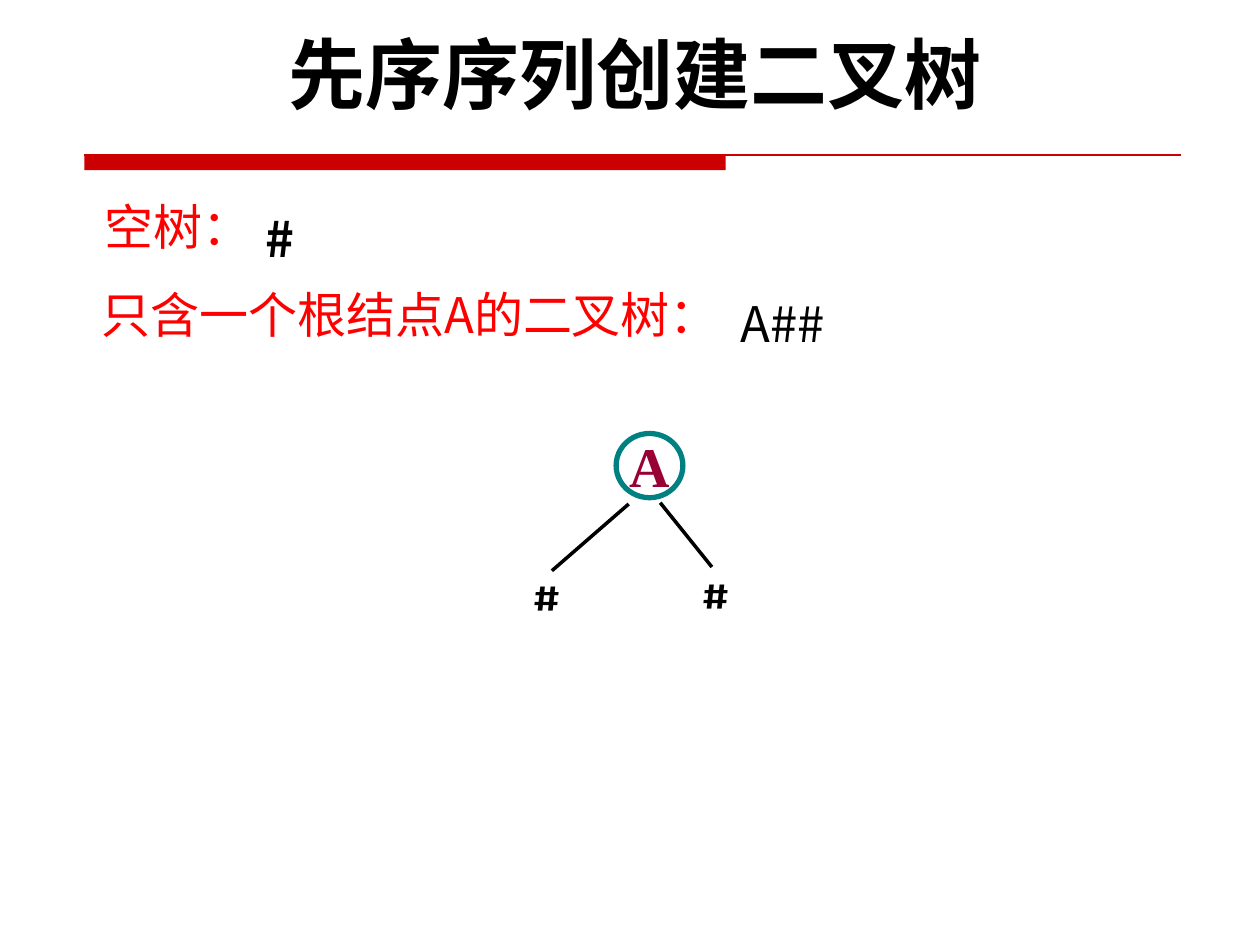
from lxml import etree
from pptx import Presentation
from pptx.dml.color import RGBColor
from pptx.enum import shapes, text
from pptx.oxml.ns import qn
from pptx.util import Inches, Pt

SANS = "Noto Sans CJK SC"
TITLE_FONT = "Karla"
SERIF = "Times New Roman"
BLACK, RED, BAND_RED = "000000", "FF0000", "CC0000"


def paint(color_format, color):
    color_format.rgb = RGBColor.from_string(color)


def write(shape, content, size, font, color, bold=False, centered=False, spacing=None):
    paragraph = shape.text_frame.paragraphs[0]
    paragraph.text = content
    paragraph.alignment = text.PP_ALIGN.CENTER if centered else text.PP_ALIGN.LEFT
    if spacing:
        paragraph.line_spacing = spacing
    run = paragraph.runs[0]
    run.font.size = Pt(size)
    run.font.name = font
    run.font.bold = bold
    paint(run.font.color, color)
    east_asian = etree.SubElement(run._r.get_or_add_rPr(), qn("a:ea"))
    east_asian.set("typeface", font)


def add_label(slide, box, content, size, font, color, **style):
    label = slide.shapes.add_textbox(*map(Inches, box))
    label.text_frame.word_wrap = True
    write(label, content, size, font, color, **style)


def add_filled_shape(slide, kind, box, fill):
    shape = slide.shapes.add_shape(kind, *map(Inches, box))
    shape.shadow.inherit = False
    shape.fill.solid()
    paint(shape.fill.fore_color, fill)
    shape.line.fill.background()
    return shape


def add_line(slide, start, end, color, width):
    line = slide.shapes.add_connector(
        shapes.MSO_CONNECTOR.STRAIGHT, *map(Inches, start + end))
    paint(line.line.color, color)
    line.line.width = Pt(width)
    etree.SubElement(line._element.spPr, qn("a:effectLst"))


def add_node(slide, box, name):
    node = add_filled_shape(slide, shapes.MSO_SHAPE.OVAL, box, "FFFFFF")
    paint(node.line.color, "008080")
    node.line.width = Pt(3)
    node.text_frame.word_wrap = False
    node.text_frame.vertical_anchor = text.MSO_ANCHOR.MIDDLE
    write(node, name, 32, SERIF, "990033", bold=True, centered=True)


def add_header(slide):
    add_filled_shape(slide, shapes.MSO_SHAPE.RECTANGLE, (0.67, 1.23, 5.09, 0.12), BAND_RED)
    add_line(slide, (0.67, 1.23), (9.37, 1.23), BAND_RED, 0.75)
    add_label(slide, (1.22, 0.16, 7.65, 0.84), "先序序列创建二叉树", 44, TITLE_FONT,
              BLACK, bold=True, centered=True)


def add_examples(slide):
    add_label(slide, (0.73, 1.51, 1.48, 0.57), "空树：", 28, SANS, RED)
    add_label(slide, (2.01, 1.51, 0.79, 0.59), "#", 28, SANS, BLACK, bold=True, spacing=1.2)
    add_label(slide, (0.71, 2.21, 5.85, 0.57), "只含一个根结点A的二叉树：", 28, SANS, RED)
    add_label(slide, (5.78, 2.19, 1.5, 0.59), "A##", 28, SANS, BLACK, spacing=1.2)


def add_tree(slide):
    add_node(slide, (4.89, 3.44, 0.53, 0.51), "A")
    branches = [((4.99, 4), (4.38, 4.53), (4.13, 4.48)),
                ((5.24, 3.99), (5.65, 4.5), (5.47, 4.46))]
    for start, end, corner in branches:
        add_line(slide, start, end, BLACK, 2)
        add_label(slide, corner + (0.63, 0.51), "#", 24, TITLE_FONT, BLACK, bold=True)


def main():
    presentation = Presentation()
    presentation.slide_width = Inches(10)
    presentation.slide_height = Inches(7.5)
    slide = presentation.slides.add_slide(presentation.slide_layouts[6])
    add_header(slide)
    add_examples(slide)
    add_tree(slide)
    presentation.save("out.pptx")


if __name__ == "__main__":
    main()
